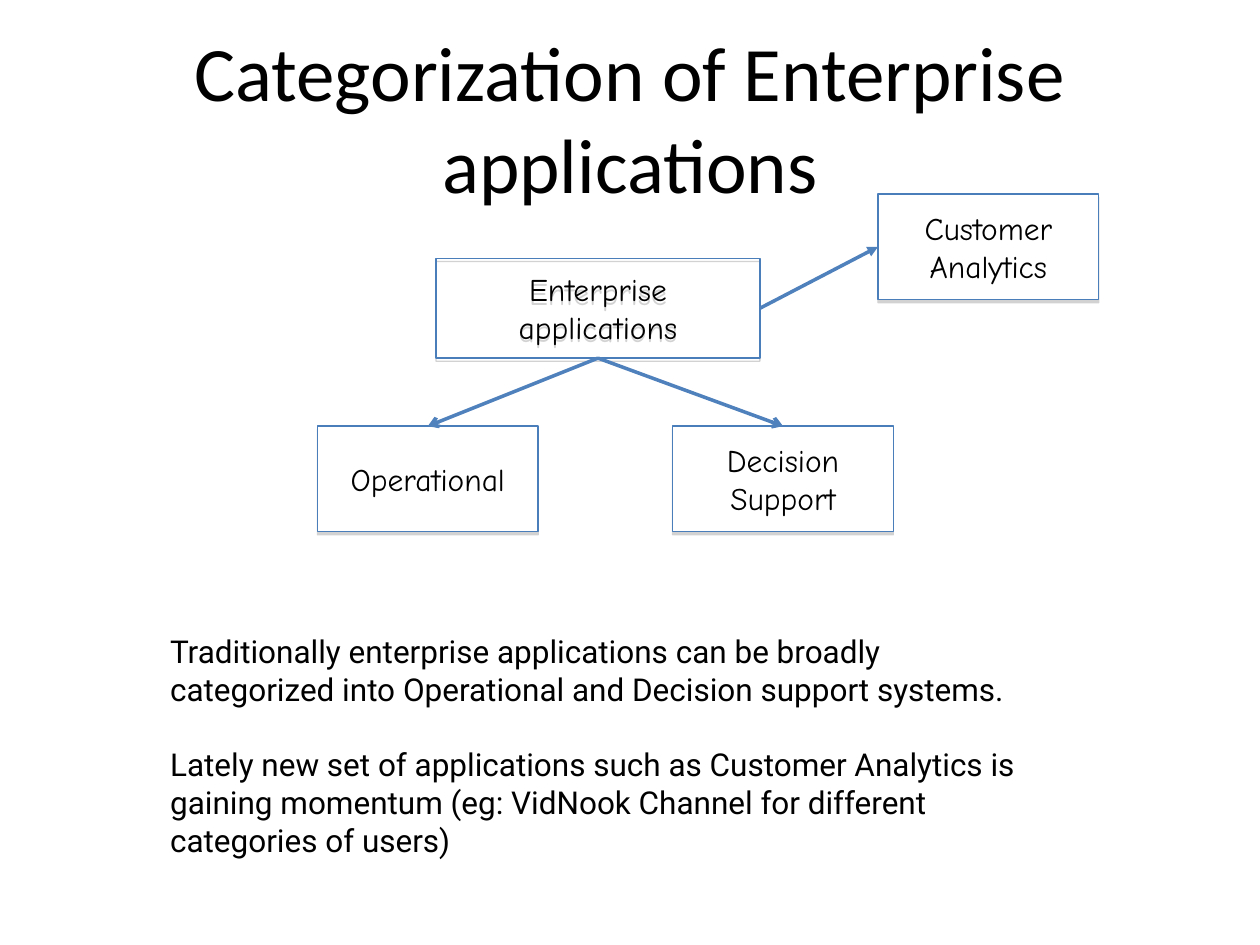
from lxml.etree import SubElement
from pptx import Presentation
from pptx.dml.color import RGBColor
from pptx.enum.shapes import MSO_CONNECTOR, MSO_SHAPE
from pptx.enum.text import MSO_ANCHOR, MSO_AUTO_SIZE, PP_ALIGN
from pptx.oxml.ns import qn
from pptx.util import Cm, Pt

COLORS = {
    "text": "000000",
    "box": "FFFFFF",
    "outline": "4A7EBB",
    "arrow": "4F81BD",
    "shadow": "808080",
}
CATEGORY_SIZE = (4.45, 2.13)
TOP, LEFT, BOTTOM, RIGHT = range(4)

EXPLANATION = [
    "Traditionally enterprise applications can be broadly categorized into "
    "Operational and Decision support systems.",
    "Lately new set of applications such as Customer Analytics is gaining "
    "momentum (eg: VidNook Channel for different categories of users)",
]


def color(key):
    return RGBColor.from_string(COLORS[key])


def format_paragraph(paragraph, font_name, size, alignment):
    paragraph.alignment = alignment
    for run in paragraph.runs:
        run.font.name = font_name
        run.font.size = Pt(size)
        run.font.color.rgb = color("text")


def add_soft_shadow(box):
    box.shadow.inherit = False
    effects = box._element.spPr.find(qn("a:effectLst"))
    shadow = SubElement(effects, qn("a:outerShdw"), dist=str(Pt(1.8)),
                        dir="5400000", rotWithShape="0")
    tint = SubElement(shadow, qn("a:srgbClr"), val=COLORS["shadow"])
    SubElement(tint, qn("a:alpha"), val="35000")


def set_title(slide, text):
    title = slide.shapes.title
    title.left, title.top = Cm(1.27), Cm(0.76)
    title.width, title.height = Cm(22.86), Cm(3.18)
    frame = title.text_frame
    frame.text = text
    frame.auto_size = MSO_AUTO_SIZE.NONE
    frame.vertical_anchor = MSO_ANCHOR.MIDDLE
    format_paragraph(frame.paragraphs[0], "Calibri", 44, PP_ALIGN.CENTER)


def add_box(slide, text, left, top, size=CATEGORY_SIZE, filled=True):
    width, height = size
    box = slide.shapes.add_shape(MSO_SHAPE.RECTANGLE, Cm(left), Cm(top),
                                 Cm(width), Cm(height))
    if filled:
        box.fill.solid()
        box.fill.fore_color.rgb = color("box")
    else:
        box.fill.background()
    box.line.color.rgb = color("outline")
    box.line.width = Pt(0.75)
    add_soft_shadow(box)
    frame = box.text_frame
    frame.text = text
    frame.word_wrap = True
    frame.vertical_anchor = MSO_ANCHOR.MIDDLE
    format_paragraph(frame.paragraphs[0], "Comic Neue", 18, PP_ALIGN.CENTER)
    return box


def add_arrow(slide, source, source_side, target, target_side, head):
    arrow = slide.shapes.add_connector(MSO_CONNECTOR.STRAIGHT, 0, 0, 0, 0)
    arrow.begin_connect(source, source_side)
    arrow.end_connect(target, target_side)
    arrow.line.color.rgb = color("arrow")
    arrow.line.width = Pt(2)
    SubElement(arrow.line._get_or_add_ln(), qn("a:tailEnd"), type=head)
    SubElement(arrow._element.spPr, qn("a:effectLst"))


def add_explanation(slide, texts):
    explanation = slide.shapes.add_textbox(Cm(3.18), Cm(12.62), Cm(17.63), Cm(5.59))
    frame = explanation.text_frame
    frame.word_wrap = True
    frame.text = "\n".join(texts)
    for paragraph in frame.paragraphs:
        format_paragraph(paragraph, "Roboto", 18, PP_ALIGN.LEFT)
    for paragraph in frame.paragraphs[1:]:
        paragraph.space_before = Pt(21.5)


def main():
    presentation = Presentation()
    presentation.slide_width, presentation.slide_height = Cm(25.4), Cm(19.05)
    slide = presentation.slides.add_slide(presentation.slide_layouts[5])

    set_title(slide, "Categorization of Enterprise applications")

    # Category tree
    enterprise = add_box(slide, "Enterprise applications", 8.79, 5.21,
                         size=(6.53, 2.01), filled=False)
    operational = add_box(slide, "Operational", 6.4, 8.59)
    decision_support = add_box(slide, "Decision Support", 13.56, 8.59)
    for category in (operational, decision_support):
        add_arrow(slide, enterprise, BOTTOM, category, TOP, "arrow")

    # Explanation below the tree
    add_explanation(slide, EXPLANATION)

    # Newer category at the side
    customer_analytics = add_box(slide, "Customer Analytics", 17.7, 3.91)
    add_arrow(slide, enterprise, RIGHT, customer_analytics, LEFT, "triangle")

    presentation.save("out.pptx")


if __name__ == "__main__":
    main()
